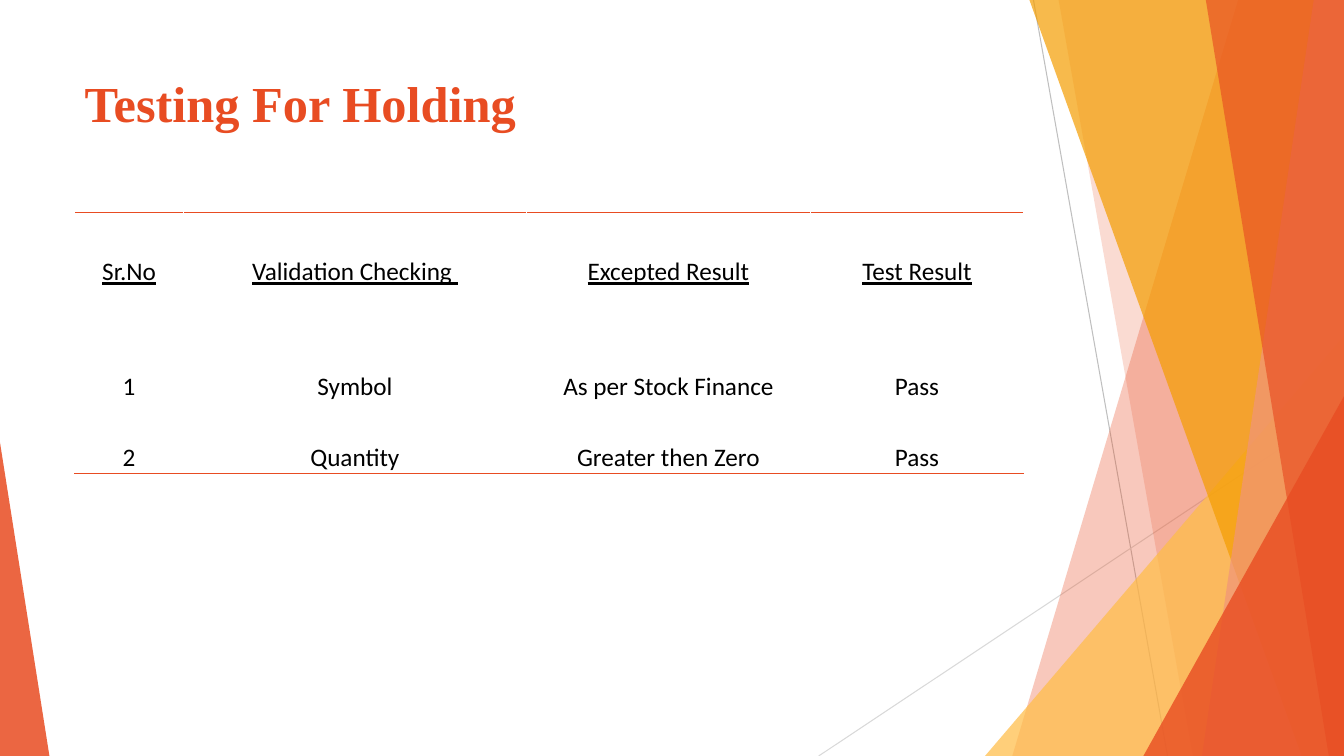
from lxml import etree
from pptx import Presentation
from pptx.dml.color import RGBColor
from pptx.enum.shapes import MSO_CONNECTOR, MSO_SHAPE
from pptx.enum.text import MSO_ANCHOR, PP_ALIGN
from pptx.oxml.ns import qn
from pptx.util import Inches, Pt

STRAIGHT = MSO_CONNECTOR.STRAIGHT
TRIANGLE = MSO_SHAPE.RIGHT_TRIANGLE
ISOSCELES = MSO_SHAPE.ISOSCELES_TRIANGLE
TOP, MIDDLE, BOTTOM = MSO_ANCHOR.TOP, MSO_ANCHOR.MIDDLE, MSO_ANCHOR.BOTTOM
LEFT, CENTER = PP_ALIGN.LEFT, PP_ALIGN.CENTER

WIDTH, HEIGHT = 13.33, 7.5
ACCENT = "E84C22"
COLUMN_WIDTHS = [1.08, 3.4, 2.82, 2.11]
ROW_HEIGHTS = [1.17, 0.71, 0.71]
ROWS = [
    ["Sr.No", "Validation Checking ", "Excepted Result", "Test Result"],
    ["1", "Symbol", "As per Stock Finance", "Pass"],
    ["2", "Quantity", "Greater then Zero", "Pass"],
]


def color(value):
    return RGBColor.from_string(value)


def paint(shape, fill, opacity):
    """Give a shape a see-through fill (opacity in percent) and no outline."""
    shape.shadow.inherit = False
    shape.fill.solid()
    shape.fill.fore_color.rgb = color(fill)
    shape.line.fill.background()
    color_element = shape._element.spPr.find(qn("a:solidFill"))[0]
    etree.SubElement(color_element, qn("a:alpha"), val=str(opacity * 1000))


def add_line(slide, start, end, line_color):
    points = [Inches(value) for value in (*start, *end)]
    line = slide.shapes.add_connector(STRAIGHT, *points)
    line.line.color.rgb = color(line_color)
    line.line.width = Pt(0.75)
    etree.SubElement(line._element.spPr, qn("a:effectLst"))


def add_band(slide, top_x, bottom_x, fill, opacity):
    """Fill the slide from a slanted left edge to the right margin."""
    corners = [(WIDTH, 0), (WIDTH, HEIGHT), (bottom_x, HEIGHT)]
    builder = slide.shapes.build_freeform(Inches(top_x), 0)
    builder.add_line_segments([(Inches(x), Inches(y)) for x, y in corners])
    paint(builder.convert_to_shape(), fill, opacity)


def add_triangle(slide, left, top, width, apex, fill, opacity):
    """Stand a triangle on the bottom edge; apex runs from 0 (left) to 1 (right)."""
    triangle = slide.shapes.add_shape(
        ISOSCELES, Inches(left), Inches(top), Inches(width), Inches(HEIGHT - top))
    triangle.adjustments[0] = apex
    paint(triangle, fill, opacity)


def add_text(paragraph, text, font_name, size, text_color):
    run = paragraph.add_run()
    run.text = text
    run.font.name = font_name
    run.font.size = Pt(size)
    run.font.color.rgb = color(text_color)
    return run


def add_decoration(slide):
    add_line(slide, (10.25, 0), (11.58, HEIGHT), "BFBFBF")
    add_line(slide, (WIDTH, 4.03), (8.12, HEIGHT), "D9D9D9")
    add_band(slide, 12.28, 10.04, ACCENT, 30)
    add_band(slide, 10.5, 11.83, ACCENT, 20)
    add_triangle(slide, 9.77, 3.33, 3.56, 1, "FFBD47", 72)
    add_band(slide, 10.21, 12.91, "F49D00", 70)
    add_band(slide, 13.03, 11.92, "F1947A", 70)
    add_band(slide, 11.96, 13.18, ACCENT, 65)
    add_triangle(slide, 11.34, 3.93, 1.99, 1, ACCENT, 80)
    add_triangle(slide, 0, 4.39, 0.49, 0, ACCENT, 85)


def format_title(slide, text):
    title = slide.shapes.title
    title.left, title.top = Inches(0.74), Inches(0.67)
    title.width, title.height = Inches(9.4), Inches(1.44)
    title.text_frame.vertical_anchor = TOP
    paragraph = title.text_frame.paragraphs[0]
    paragraph.alignment = LEFT
    add_text(paragraph, text, "Times New Roman", 36, ACCENT).font.bold = True


def add_border(cell, side):
    border = etree.Element(qn(f"a:{side}"), w=str(Pt(1)))
    fill = etree.SubElement(border, qn("a:solidFill"))
    etree.SubElement(fill, qn("a:srgbClr"), val=ACCENT)
    cell._tc.get_or_add_tcPr().insert(0, border)


def fill_cell(cell, text, is_header):
    cell.fill.background()
    cell.margin_left = cell.margin_right = cell.margin_top = Inches(0.01)
    cell.margin_bottom = 0
    cell.vertical_anchor = MIDDLE if is_header else BOTTOM
    paragraph = cell.text_frame.paragraphs[0]
    paragraph.alignment = CENTER
    run = add_text(paragraph, text, "Calibri", 18, "000000")
    run.font.underline = is_header


def add_test_table(slide):
    table = slide.shapes.add_table(
        len(ROWS), len(COLUMN_WIDTHS), Inches(0.74), Inches(2.11),
        Inches(sum(COLUMN_WIDTHS)), Inches(sum(ROW_HEIGHTS))).table
    table.first_row = table.horz_banding = False
    for column, width in zip(table.columns, COLUMN_WIDTHS):
        column.width = Inches(width)
    for row_index, (row, height) in enumerate(zip(table.rows, ROW_HEIGHTS)):
        row.height = Inches(height)
        for cell, text in zip(row.cells, ROWS[row_index]):
            fill_cell(cell, text, is_header=row_index == 0)
    for cell in table.rows[0].cells:
        add_border(cell, "lnT")
    for cell in table.rows[len(ROWS) - 1].cells:
        add_border(cell, "lnB")


def main():
    presentation = Presentation()
    presentation.slide_width = Inches(WIDTH)
    presentation.slide_height = Inches(HEIGHT)
    slide = presentation.slides.add_slide(presentation.slide_layouts[5])
    add_decoration(slide)
    format_title(slide, "Testing For Holding")
    add_test_table(slide)
    presentation.save("out.pptx")


if __name__ == "__main__":
    main()
